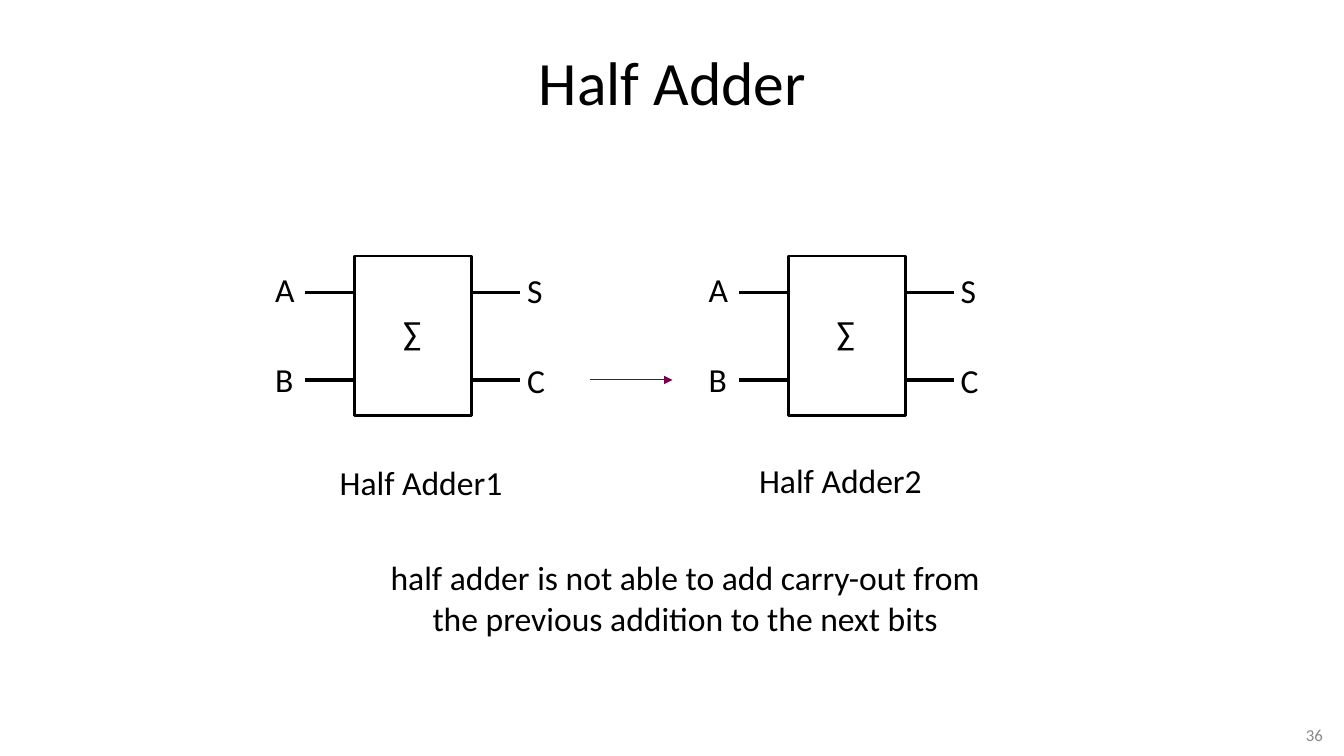
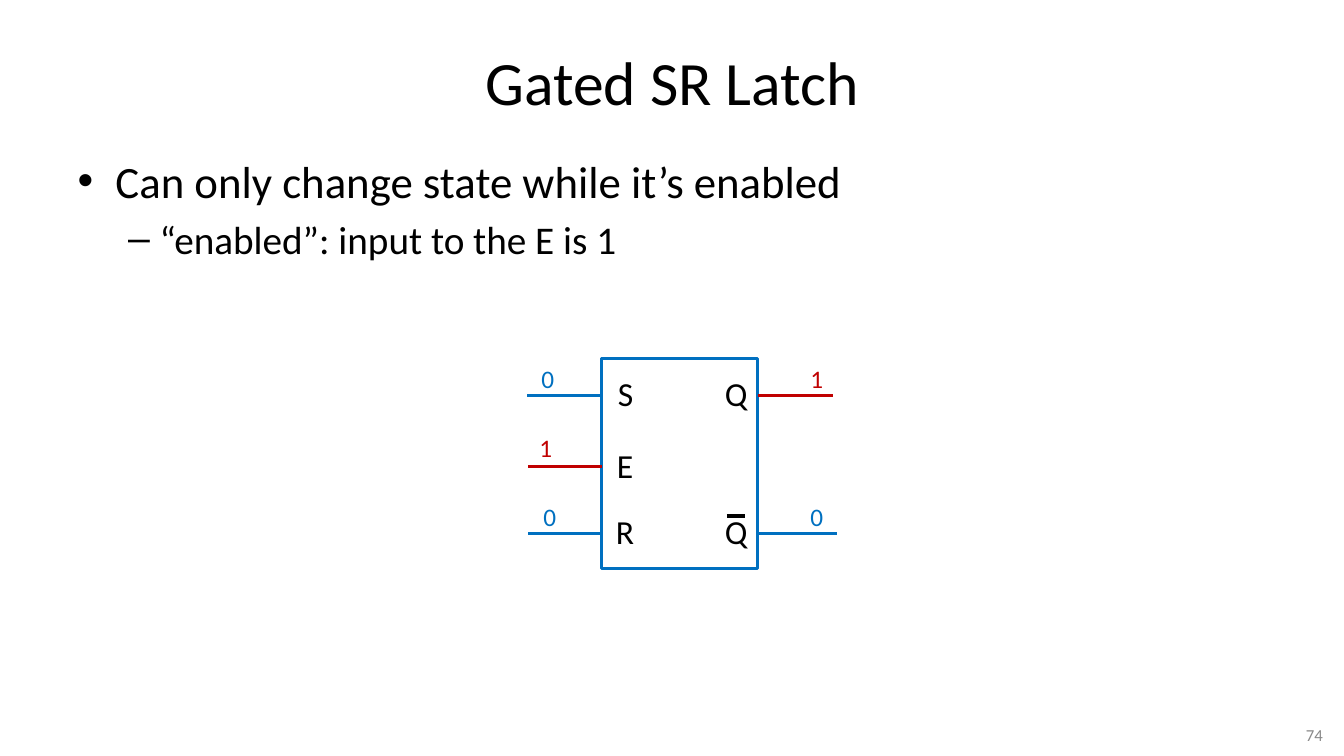
import pptx
import pptx.util
import pptx.dml.color
import pptx.enum.shapes
import pptx.enum.text
import pptx.oxml
import pptx.oxml.ns

PX = 9144
FONT = "Calibri"
BLACK, WHITE, GRAY = "000000", "FFFFFF", "898989"
BLUE, RED, PLUM = "0070C0", "C00000", "7A014F"
ALIGN = pptx.enum.text.PP_ALIGN
ANCHOR = pptx.enum.text.MSO_ANCHOR
FIT = pptx.enum.text.MSO_AUTO_SIZE


def px(*nums):
    return [pptx.util.Emu(num * PX) for num in nums]


def paint(form, color):
    form.rgb = pptx.dml.color.RGBColor.from_string(color)


def write(frame, *lines, size=24, color=BLACK, align=None):
    for index, line in enumerate(lines):
        para = frame.paragraphs[0] if index == 0 else frame.add_paragraph()
        para.text = line
        para.font.name = FONT
        para.font.size = pptx.util.Pt(size)
        paint(para.font.color, color)
        if align is not None:
            para.alignment = align


def label(shapes, text, left, top, width, height=50, wrap=False,
          anchor=ANCHOR.TOP, fit=FIT.SHAPE_TO_FIT_TEXT, **style):
    frame = shapes.add_textbox(*px(left, top, width, height)).text_frame
    frame.word_wrap = wrap
    frame.auto_size = fit
    frame.vertical_anchor = anchor
    write(frame, text, **style)


def wire(shapes, left, right, top, color=BLACK, width=2.25, arrow=False):
    line = shapes.add_connector(pptx.enum.shapes.MSO_CONNECTOR.STRAIGHT,
                                *px(left, top, right, top))
    line.line.width = pptx.util.Pt(width)
    paint(line.line.color, color)
    props = line._element.spPr
    if arrow:
        tail = pptx.oxml.parse_xml(
            f'<a:tailEnd {pptx.oxml.ns.nsdecls("a")} type="triangle"/>')
        props.find(pptx.oxml.ns.qn("a:ln")).append(tail)
    props.append(pptx.oxml.parse_xml(
        f'<a:effectLst {pptx.oxml.ns.nsdecls("a")}/>'))


def block(shapes, left, top, width, height, color=BLACK):
    box = shapes.add_shape(pptx.enum.shapes.MSO_SHAPE.RECTANGLE,
                           *px(left, top, width, height))
    box.shadow.inherit = False
    box.fill.solid()
    paint(box.fill.fore_color, WHITE)
    box.line.width = pptx.util.Pt(2)
    paint(box.line.color, color)


def setup():
    deck = pptx.Presentation()
    deck.slide_width, deck.slide_height = px(1333, 750)
    places = {"TITLE": (67, 30, 1200, 101), "BODY": (67, 147, 1200, 551)}
    for holder in deck.slide_master.placeholders:
        place = places.get(holder.placeholder_format.type.name)
        if place:
            holder.left, holder.top, holder.width, holder.height = px(*place)
    return deck


def new_slide(deck, layout, title, number):
    slide = deck.slides.add_slide(deck.slide_layouts.get_by_name(layout))
    write(slide.shapes.title.text_frame, title, size=44, align=ALIGN.CENTER)
    label(slide.shapes, number, 1179, 714, 143, 29, wrap=True, fit=FIT.NONE,
          anchor=ANCHOR.MIDDLE, size=12, color=GRAY, align=ALIGN.RIGHT)
    return slide


def half_adder(slide, left):
    shapes = slide.shapes.add_group_shape().shapes
    block(shapes, left, 254, 116, 158)
    for row, (near, far) in enumerate(["AS", "BC"]):
        level, top = 290 + 87 * row, 262 + 89 * row
        wire(shapes, left - 49, left, level)
        wire(shapes, left + 116, left + 164, level)
        label(shapes, near, left - 89, top, 40 - 2 * row)
        label(shapes, far, left + 161, top + 1, 36 + 2 * row)
    label(shapes, "∑", left + 38, 305, 38)


def adder_slide(deck):
    slide = new_slide(deck, "Title Only", "Half Adder", "36")
    for left in (352, 782):
        half_adder(slide, left)
    wire(slide.shapes, 585, 667, 377, PLUM, 0.75, arrow=True)
    label(slide.shapes, "Half Adder1", 327, 453, 233, wrap=True)
    label(slide.shapes, "Half Adder2", 743, 451, 233, wrap=True)
    label(slide.shapes, "half adder is not able to add carry-out from "
          "the previous addition to the next bits",
          352, 548, 655, 91, wrap=True, align=ALIGN.CENTER)


def latch(slide):
    shapes = slide.shapes.add_group_shape().shapes
    block(shapes, 597, 356, 154, 208, BLUE)
    pins = [
        ("S", 603, 36, 523, 597, 392, "0", 527, 356),
        ("E", 602, 37, 524, 597, 463, "1", 525, 424),
        ("R", 601, 38, 524, 597, 529, "0", 529, 492),
        ("Q", 709, 43, 752, 826, 392, "1", 794, 356),
        ("Q", 709, 43, 752, 830, 529, "0", 794, 492),
    ]
    for name, left, width, start, end, level, bit, side, top in pins:
        color = RED if bit == "1" else BLUE
        wire(shapes, start, end, level, color)
        label(shapes, name, left, level - 27, width)
        label(shapes, bit, side, top, 41, 40, wrap=True, size=18, color=color)
    wire(shapes, 721, 739, 512)


def latch_slide(deck):
    slide = new_slide(deck, "Title and Content", "Gated SR Latch", "74")
    frame = slide.placeholders[1].text_frame
    write(frame, "Can only change state while it’s enabled",
          "“enabled”: input to the E is 1", size=32)
    detail = frame.paragraphs[1]
    detail.level = 1
    detail.font.size = pptx.util.Pt(28)
    latch(slide)


def main():
    deck = setup()
    adder_slide(deck)
    latch_slide(deck)
    deck.save("out.pptx")


if __name__ == "__main__":
    main()
